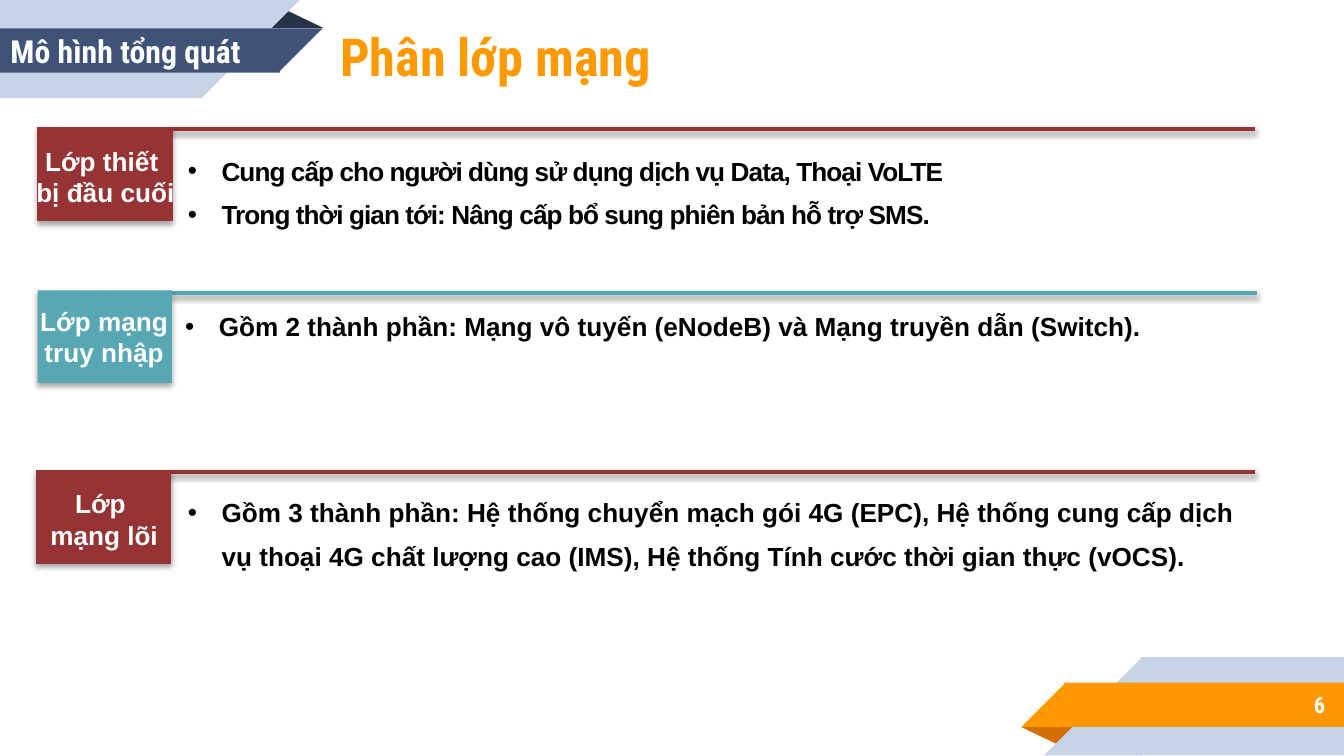
"""Build the network layer slide with its ribbons, three layer rows and bullets."""
from dataclasses import dataclass

from lxml import etree
from pptx import Presentation
from pptx.dml.color import RGBColor
from pptx.enum import shapes, text
from pptx.oxml import ns
from pptx.util import Inches, Pt

LEFT, CENTER, RIGHT = text.PP_ALIGN.LEFT, text.PP_ALIGN.CENTER, text.PP_ALIGN.RIGHT
RECT = shapes.MSO_SHAPE.RECTANGLE
CORNER = shapes.MSO_SHAPE.RIGHT_TRIANGLE
FOLD = shapes.MSO_SHAPE.ISOSCELES_TRIANGLE


@dataclass(frozen=True)
class Theme:
    heading_font: str = "Roboto Condensed"
    body_font: str = "Arial"
    white: str = "FFFFFF"
    black: str = "000000"
    pale: str = "C7D3E6"
    navy: str = "3F5378"
    dark_navy: str = "263248"
    orange: str = "FF9800"
    dark_orange: str = "D26F00"
    title_color: str = "FF9900"
    red: str = "963334"
    teal: str = "57A7B5"
    title_size: float = 28
    section_size: float = 17
    body_size: float = 14
    number_size: float = 12


def add_xml(parent, tag, **attributes):
    return etree.SubElement(parent, ns.qn(tag), attributes)


def add_shadow(shape, opacity, distance):
    properties = shape._element.spPr
    effects = properties.find(ns.qn("a:effectLst"))
    if effects is None:
        effects = add_xml(properties, "a:effectLst")
    shadow = add_xml(effects, "a:outerShdw", blurRad=str(Pt(3.1)), dist=str(Pt(distance)),
                     dir="5400000", algn="ctr", rotWithShape="0")
    color = add_xml(shadow, "a:srgbClr", val="000000")
    add_xml(color, "a:alpha", val=str(opacity * 1000))


def write(frame, lines, *, font, size, color, align=LEFT, margins=(0.1, 0.05),
          anchor=text.MSO_ANCHOR.TOP, bullet=False, tracking=0):
    frame.word_wrap = True
    frame.auto_size = text.MSO_AUTO_SIZE.NONE
    frame.vertical_anchor = anchor
    frame.margin_left = frame.margin_right = Inches(margins[0])
    frame.margin_top = frame.margin_bottom = Inches(margins[1])
    for index, line in enumerate(lines):
        para = frame.add_paragraph() if index else frame.paragraphs[0]
        para.alignment = align
        if bullet:
            para.line_spacing = 1.4
            properties = para._p.get_or_add_pPr()
            properties.set("marL", str(Inches(0.25)))
            properties.set("indent", str(Inches(-0.25)))
            add_xml(add_xml(properties, "a:buClr"), "a:srgbClr", val=color)
            add_xml(properties, "a:buFont", typeface=font)
            add_xml(properties, "a:buChar", char="•")
        span = para.add_run()
        span.text = line
        span.font.name, span.font.size, span.font.bold = font, Pt(size), True
        span.font.color.rgb = RGBColor.from_string(color)
        if tracking:
            span._r.get_or_add_rPr().set("spc", str(round(tracking * 100)))


class SlideBuilder:
    """Hold the theme and the current slide, and add each kind of element."""

    def __init__(self, page, theme):
        self.page, self.theme = page, theme

    def title(self, wording, *place):
        box = self.page.shapes.title
        box.left, box.top, box.width, box.height = map(Inches, place)
        write(box.text_frame, [wording], font=self.theme.heading_font,
              size=self.theme.title_size, color=self.theme.title_color,
              margins=(0.1, 0.1), anchor=text.MSO_ANCHOR.MIDDLE)

    def textbox(self, lines, *place, **style):
        box = self.page.shapes.add_textbox(*map(Inches, place))
        write(box.text_frame, lines, **style)

    def block(self, kind, color, *place, flip=False, turn=0, outline=False):
        box = self.page.shapes.add_shape(kind, *map(Inches, place))
        box.shadow.inherit = False
        box.fill.solid()
        box.fill.fore_color.rgb = RGBColor.from_string(color)
        if outline:
            box.line.color.rgb = RGBColor.from_string(color)
            box.line.width = Pt(0.75)
        else:
            box.line.fill.background()
        box.rotation = turn
        if flip:
            box._element.spPr.xfrm.set("flipH", "1")
        if kind == FOLD:
            box.adjustments[0] = 0.324
        return box

    def ribbon(self, parts, turn):
        for kind, color, *place in parts:
            if kind == FOLD:
                self.block(kind, color, *place, turn=180 - turn)
            else:
                self.block(kind, color, *place, flip=True, turn=turn)

    def rule(self, color, left, top, width):
        line = self.page.shapes.add_connector(
            shapes.MSO_CONNECTOR.STRAIGHT, Inches(left), Inches(top),
            Inches(left + width), Inches(top))
        line.line.color.rgb = RGBColor.from_string(color)
        line.line.width = Pt(2)
        add_shadow(line, 38, 1.6)

    def layer(self, color, box_place, rule_place, label, label_place, lines, bullet_place,
              outline=True, tracking=0):
        self.rule(color, *rule_place, 8.08)
        box = self.block(RECT, color, *box_place, 1, 0.69, outline=outline)
        add_shadow(box, 35, 1.8)
        style = dict(font=self.theme.body_font, size=self.theme.body_size)
        self.textbox(label, *label_place, 1.17, 0.47, color=self.theme.white,
                     align=CENTER, margins=(0, 0), **style)
        self.textbox(lines, *bullet_place, color=self.theme.black, bullet=True,
                     tracking=tracking, **style)


def main():
    deck = Presentation()
    deck.slide_width = Inches(10)
    deck.slide_height = deck.slide_width * 9 // 16
    theme = Theme()
    builder = SlideBuilder(deck.slides.add_slide(deck.slide_layouts[5]), theme)

    builder.ribbon([
        (FOLD, theme.dark_orange, 7.6, 5.41, 0.43, 0.14),
        (RECT, theme.pale, 8.49, 4.89, 1.51, 0.73),
        (CORNER, theme.pale, 7.77, 4.89, 0.73, 0.73),
        (RECT, theme.orange, 7.92, 5.08, 2.08, 0.33),
        (CORNER, theme.orange, 7.6, 5.08, 0.33, 0.33),
    ], turn=0)
    builder.ribbon([
        (FOLD, theme.dark_navy, 1.98, 0.07, 0.43, 0.14),
        (RECT, theme.pale, 0, 0, 1.51, 0.73),
        (CORNER, theme.pale, 1.5, 0, 0.73, 0.73),
        (RECT, theme.navy, 0, 0.21, 2.08, 0.33),
        (CORNER, theme.navy, 2.07, 0.21, 0.33, 0.33),
    ], turn=180)

    builder.title("Phân lớp mạng", 2.43, 0.25, 6.38, 0.33)
    heading = dict(font=theme.heading_font, color=theme.white)
    builder.textbox(["Mô hình tổng quát"], -0.02, 0.19, 2.34, 0.39,
                    size=theme.section_size, **heading)
    builder.textbox(["6"], 8.33, 5.07, 1.63, 0.35, size=theme.number_size, align=RIGHT,
                    margins=(0.1, 0.1), anchor=text.MSO_ANCHOR.MIDDLE, **heading)

    builder.layer(
        theme.red, (0.28, 0.95), (1.26, 0.96), ["Lớp thiết ", "bị đầu cuối"], (0.2, 1.08),
        ["Cung cấp cho người dùng sử dụng dịch vụ Data, Thoại VoLTE",
         "Trong thời gian tới: Nâng cấp bổ sung phiên bản hỗ trợ SMS."],
        (1.3, 1.01, 8.05, 1.08), tracking=-0.5)
    builder.layer(
        theme.teal, (0.28, 2.16), (1.27, 2.18), ["Lớp mạng", "truy nhập"], (0.19, 2.27),
        ["Gồm 2 thành phần: Mạng vô tuyến (eNodeB) và Mạng truyền dẫn (Switch)."],
        (1.28, 2.17, 8.26, 1.44), outline=False)
    builder.layer(
        theme.red, (0.27, 3.5), (1.26, 3.51), ["Lớp ", "mạng lõi"], (0.19, 3.63),
        ["Gồm 3 thành phần: Hệ thống chuyển mạch gói 4G (EPC), Hệ thống cung cấp dịch "
         "vụ thoại 4G chất lượng cao (IMS), Hệ thống Tính cước thời gian thực (vOCS)."],
        (1.3, 3.55, 8.05, 1.08))
    deck.save("out.pptx")


if __name__ == "__main__":
    main()
